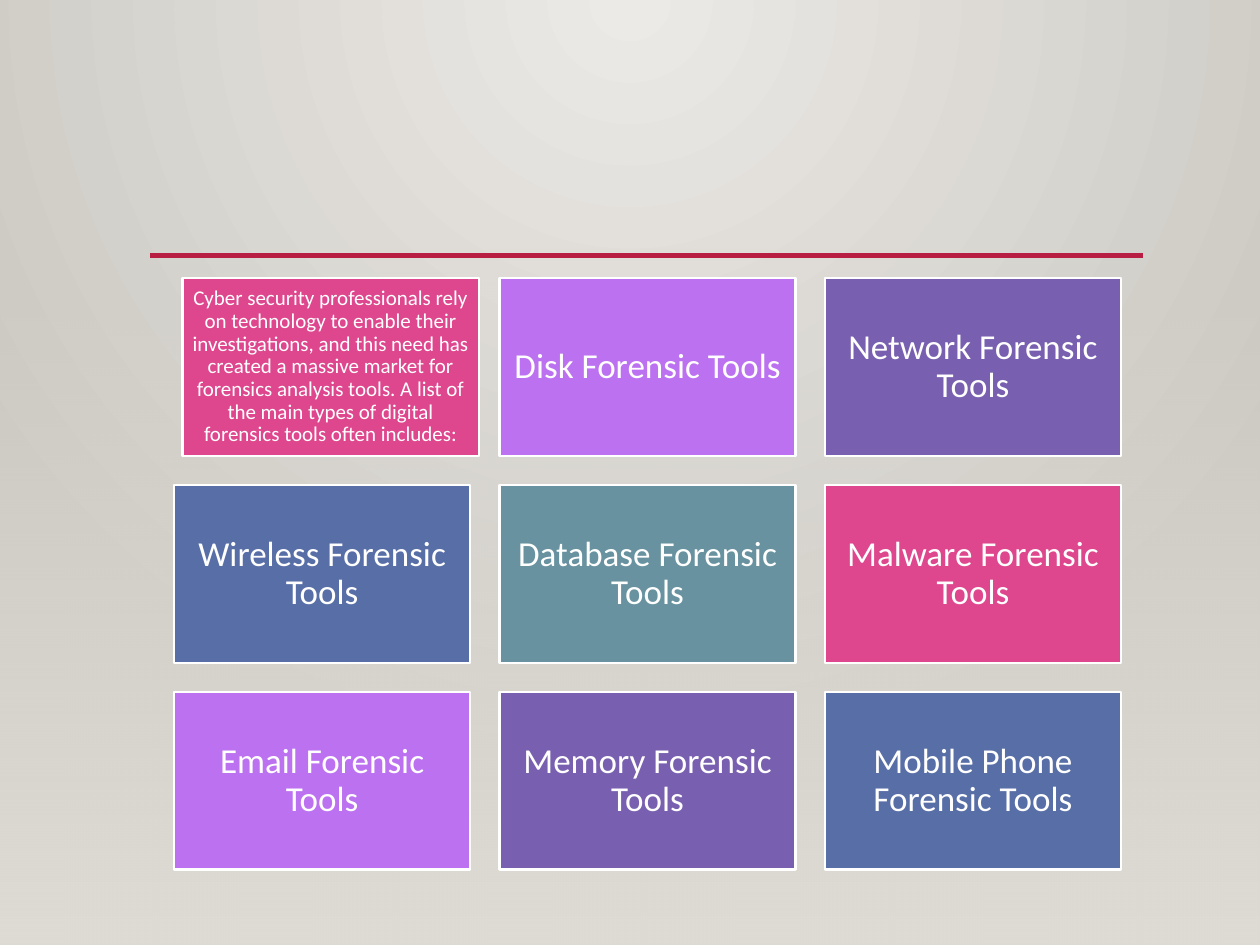
"""Build a slide with a grid of digital forensics tool types."""
import pptx
import pptx.dml.color
import pptx.enum.shapes
import pptx.enum.text
import pptx.oxml
import pptx.oxml.ns
import pptx.util

Cm, Pt = pptx.util.Cm, pptx.util.Pt
RECTANGLE = pptx.enum.shapes.MSO_SHAPE.RECTANGLE
qn = pptx.oxml.ns.qn
NS = pptx.oxml.ns.nsdecls("a")

PINK, VIOLET, PURPLE, BLUE, TEAL = "DE478E", "BC72F0", "795FAF", "586EA6", "6892A0"
INTRO = (
    "Cyber security professionals rely on technology to enable their investigations, "
    "and this need has created a massive market for forensics analysis tools. "
    "A list of the main types of digital forensics tools often includes:"
)
TOOLS = [
    (INTRO, PINK),
    ("Disk Forensic Tools", VIOLET),
    ("Network Forensic Tools", PURPLE),
    ("Wireless Forensic Tools", BLUE),
    ("Database Forensic Tools", TEAL),
    ("Malware Forensic Tools", PINK),
    ("Email Forensic Tools", VIOLET),
    ("Memory Forensic Tools", PURPLE),
    ("Mobile Phone Forensic Tools", BLUE),
]
SLIDE_WIDTH, SLIDE_HEIGHT = 25.4, 19.05
COLUMNS = 3
GRID_LEFT, GRID_TOP = 3.51, 5.61
TILE_WIDTH, TILE_HEIGHT, GAP = 5.97, 3.58, 0.59
INTRO_SHIFT = 0.17


def rgb(value):
    return pptx.dml.color.RGBColor.from_string(value)


def set_gradient(fill, start, end):
    fill.gradient()
    for stop, position, color in zip(fill.gradient_stops, (0, 1), (start, end)):
        stop.color.rgb = rgb(color)
        stop.position = position


def paint_background(slide):
    set_gradient(slide.background.fill, "ECEAE7", "CAC7C1")
    gradient = slide.element.find(".//" + qn("a:gradFill"))
    glow = pptx.oxml.parse_xml(
        f'<a:path {NS} path="circle"><a:fillToRect l="43000" r="43000" b="100000"/></a:path>'
    )
    gradient.replace(gradient.find(qn("a:lin")), glow)


def add_rule(slide):
    rule = slide.shapes.add_connector(
        pptx.enum.shapes.MSO_CONNECTOR.STRAIGHT, Cm(3.02), Cm(5.15), Cm(23.04), Cm(5.15)
    )
    rule.line.color.rgb = rgb("B71E42")
    rule.line.width = Pt(2.5)
    rule.element.spPr.append(pptx.oxml.parse_xml(f"<a:effectLst {NS}/>"))


def add_floor(slide):
    floor = slide.shapes.add_shape(
        RECTANGLE, 0, Cm(GRID_TOP), Cm(SLIDE_WIDTH), Cm(SLIDE_HEIGHT - GRID_TOP)
    )
    floor.shadow.inherit = False
    floor.line.fill.background()
    set_gradient(floor.fill, "DFDBD5", "DFDBD5")
    floor.fill.gradient_angle = 270
    clear_color = floor.element.find(".//" + qn("a:srgbClr"))
    clear_color.append(pptx.oxml.parse_xml(f'<a:alpha {NS} val="0"/>'))


def add_tile(slide, index, label, color):
    row, column = divmod(index, COLUMNS)
    is_intro = label == INTRO
    left = GRID_LEFT + column * (TILE_WIDTH + GAP) + (INTRO_SHIFT if is_intro else 0)
    top = GRID_TOP + row * (TILE_HEIGHT + GAP)
    tile = slide.shapes.add_shape(RECTANGLE, Cm(left), Cm(top), Cm(TILE_WIDTH), Cm(TILE_HEIGHT))
    tile.shadow.inherit = False
    tile.fill.solid()
    tile.fill.fore_color.rgb = rgb(color)
    tile.line.color.rgb = rgb("FFFFFF")
    tile.line.width = Pt(1.25)

    frame = tile.text_frame
    frame.word_wrap = True
    frame.vertical_anchor = pptx.enum.text.MSO_ANCHOR.MIDDLE
    inset = Cm(0.12 if is_intro else 0.2)
    frame.margin_left = frame.margin_right = inset
    frame.margin_top = frame.margin_bottom = inset
    paragraph = frame.paragraphs[0]
    paragraph.alignment = pptx.enum.text.PP_ALIGN.CENTER
    paragraph.line_spacing = 0.9
    run = paragraph.add_run()
    run.text = label
    run.font.name = "Calibri"
    run.font.size = Pt(12 if is_intro else 20)
    run.font.color.rgb = rgb("FFFFFF")


def main():
    deck = pptx.Presentation()
    deck.slide_width, deck.slide_height = Cm(SLIDE_WIDTH), Cm(SLIDE_HEIGHT)
    slide = deck.slides.add_slide(deck.slide_layouts[6])
    paint_background(slide)
    add_rule(slide)
    add_floor(slide)
    for index, (label, color) in enumerate(TOOLS):
        add_tile(slide, index, label, color)
    deck.save("out.pptx")


if __name__ == "__main__":
    main()
